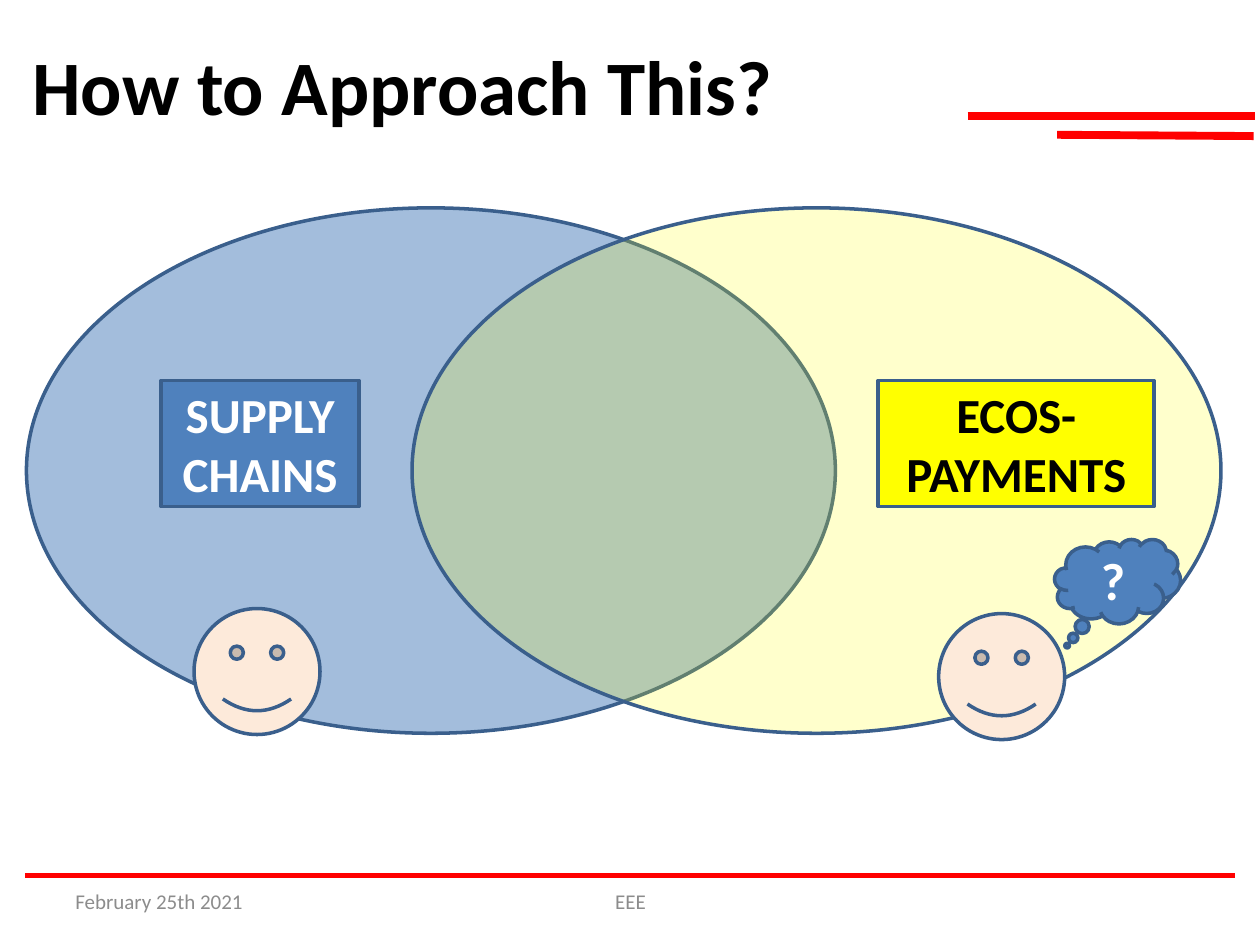
import pptx
import pptx.util
import pptx.dml.color
import pptx.enum.shapes
import pptx.enum.text
import pptx.oxml.ns
import lxml.etree
from dataclasses import dataclass

KIND = pptx.enum.shapes.MSO_SHAPE
ALIGN = pptx.enum.text.PP_ALIGN
qn = pptx.oxml.ns.qn


@dataclass(frozen=True)
class Theme:
    font: str = "Calibri"
    blue: str = "4F81BD"
    edge: str = "3A5F8C"
    yellow: str = "FFFF00"
    skin: str = "FDEADA"
    red: str = "FF0000"
    grey: str = "8C8C8C"
    black: str = "000000"
    white: str = "FFFFFF"
    title: int = 44
    label: int = 28
    mark: int = 30
    foot: int = 12
    rim: float = 2


class Board:
    """Places elements on a grid of 100 columns by 75 rows."""
    cols, rows = 100, 75

    def __init__(self, deck, theme):
        self.deck, self.theme = deck, theme
        self.slide = deck.slides.add_slide(deck.slide_layouts[6])

    def place(self, *grid):
        wide = self.deck.slide_width / self.cols
        high = self.deck.slide_height / self.rows
        return [round(n * unit) for n, unit in zip(grid, (wide, high) * 2)]

    def color(self, code):
        return pptx.dml.color.RGBColor.from_string(code)

    def label(self, item, lines, size, color, bold=True, align=ALIGN.CENTER):
        frame = item.text_frame
        style = {"word_wrap": True,
                 "vertical_anchor": pptx.enum.text.MSO_ANCHOR.MIDDLE}
        for name, value in style.items():
            setattr(frame, name, value)
        face = {"name": self.theme.font, "size": pptx.util.Pt(size), "bold": bold}
        for i, line in enumerate(lines):
            para = frame.add_paragraph() if i else frame.paragraphs[0]
            para.alignment = align
            run = para.add_run()
            run.text = line
            for name, value in face.items():
                setattr(run.font, name, value)
            run.font.color.rgb = self.color(color)

    def text(self, grid, line, size, color, **look):
        box = self.slide.shapes.add_textbox(*self.place(*grid))
        self.label(box, [line], size, color, **look)

    def shape(self, kind, grid, fill, alpha=None, adjust=()):
        item = self.slide.shapes.add_shape(kind, *self.place(*grid))
        item.shadow.inherit = False
        item.fill.solid()
        item.fill.fore_color.rgb = self.color(fill)
        item.line.color.rgb = self.color(self.theme.edge)
        item.line.width = pptx.util.Pt(self.theme.rim)
        for i, value in enumerate(adjust):
            item.adjustments[i] = value
        if alpha is not None:
            tint = item._element.spPr.find(qn("a:solidFill"))[0]
            lxml.etree.SubElement(tint, qn("a:alpha"), val=str(alpha * 1000))
        return item

    def rule(self, ends, width):
        line = self.slide.shapes.add_connector(
            pptx.enum.shapes.MSO_CONNECTOR.STRAIGHT, *self.place(*ends))
        line.line.color.rgb = self.color(self.theme.red)
        line.line.width = pptx.util.Pt(width)
        lxml.etree.SubElement(line._element.spPr, qn("a:effectLst"))


def main():
    deck = pptx.Presentation()
    deck.slide_width = pptx.util.Inches(10)
    deck.slide_height = pptx.util.Inches(7.5)
    look = Theme()
    board = Board(deck, look)

    # Title and red rules
    board.text((1.6, 0.5, 90, 12.5), "How to Approach This?",
               look.title, look.black, align=ALIGN.LEFT)
    for ends, width in (((76.8, 9.2, 99.6, 9.2), 4.5),
                        ((83.9, 10.7, 99.5, 10.8), 4.5),
                        ((2, 69.5, 98, 69.5), 3)):
        board.rule(ends, width)

    # Footer
    for left, wide, line, align in ((5, 23.3, "February 25th 2021", ALIGN.LEFT),
                                    (34.2, 31.7, "EEE", ALIGN.CENTER)):
        board.text((left, 69.5, wide, 4), line, look.foot, look.grey,
                   bold=False, align=align)

    # Overlapping fields
    for left, fill, alpha in ((2.1, look.blue, 52), (32.7, look.yellow, 20)):
        board.shape(KIND.OVAL, (left, 16.5, 64.2, 41.7), fill, alpha)

    # Field labels
    for left, wide, fill, ink, lines in (
            (12.8, 15.7, look.blue, look.white, ["SUPPLY CHAINS"]),
            (69.7, 21.9, look.yellow, look.black, ["ECOS-", "PAYMENTS"])):
        card = board.shape(KIND.RECTANGLE, (left, 30.2, wide, 10), fill)
        board.label(card, lines, look.label, ink)

    # Faces and the thought
    cloud = board.shape(KIND.CLOUD_CALLOUT, (83.7, 42.8, 10, 6.7), look.blue,
                        adjust=(-0.4, 0.76))
    board.label(cloud, ["?"], look.mark, look.white)
    for left, top in ((15.4, 48.3), (74.5, 48.7)):
        board.shape(KIND.SMILEY_FACE, (left, top, 10, 10), look.skin)

    deck.save("out.pptx")


if __name__ == "__main__":
    main()
